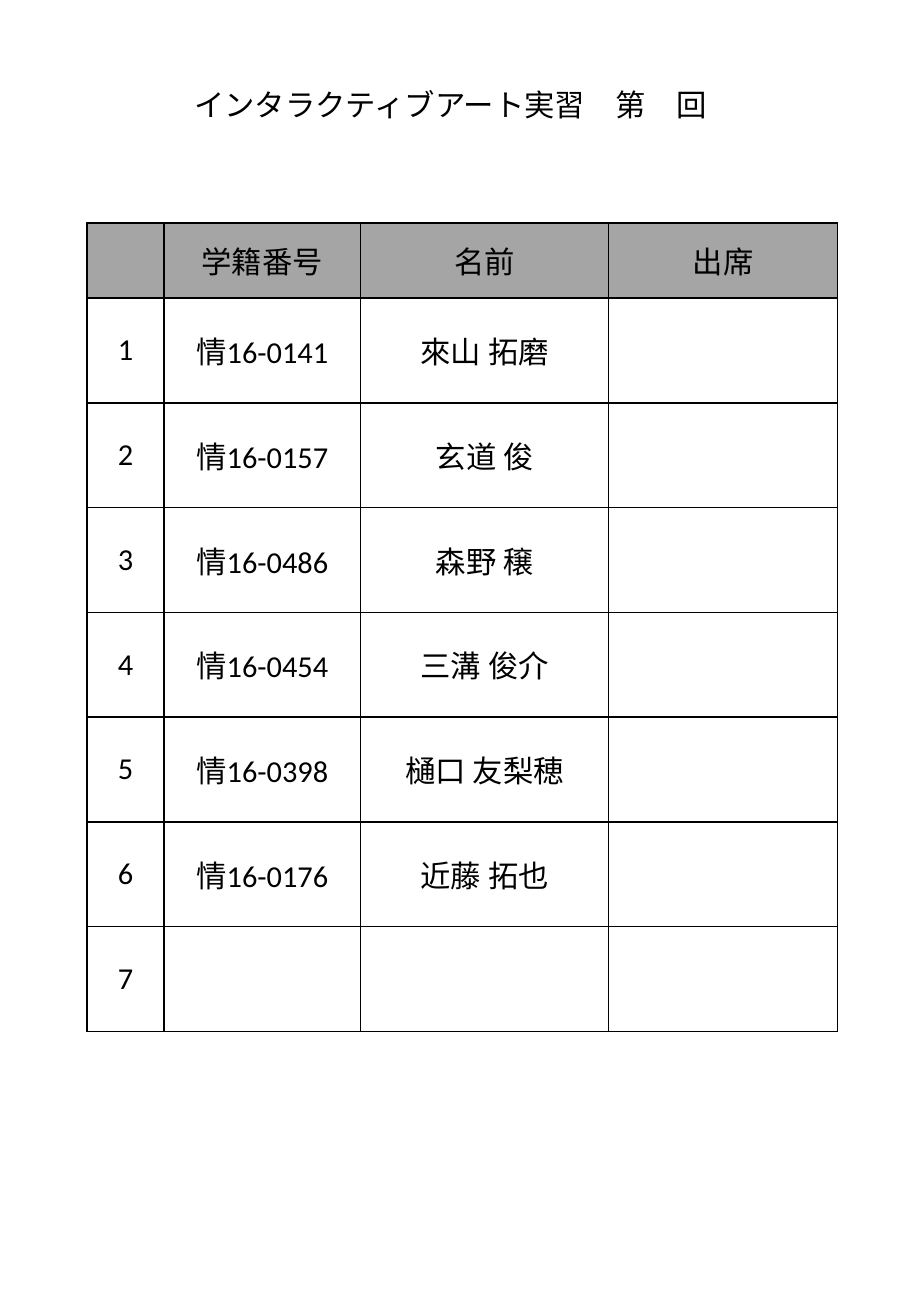
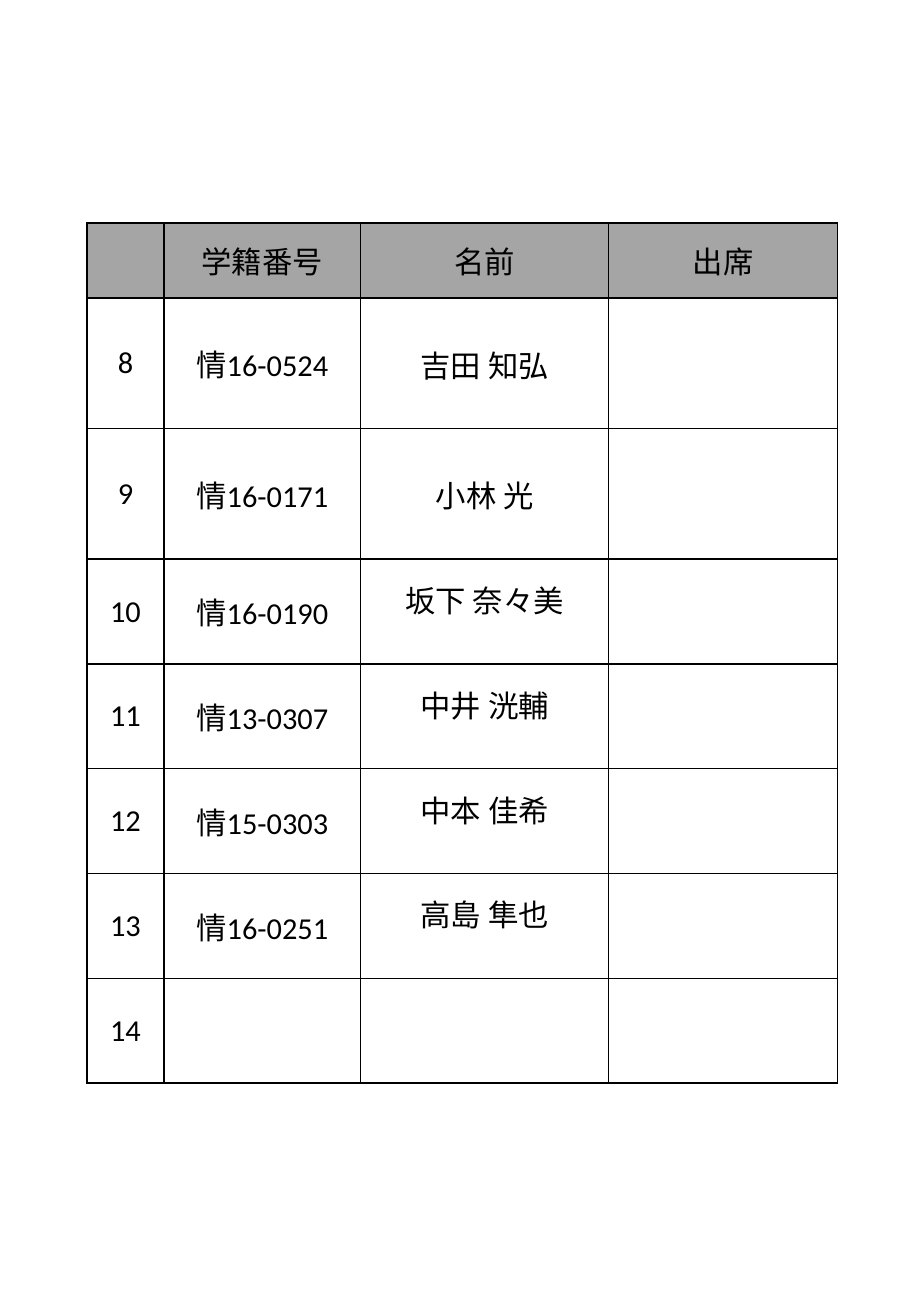
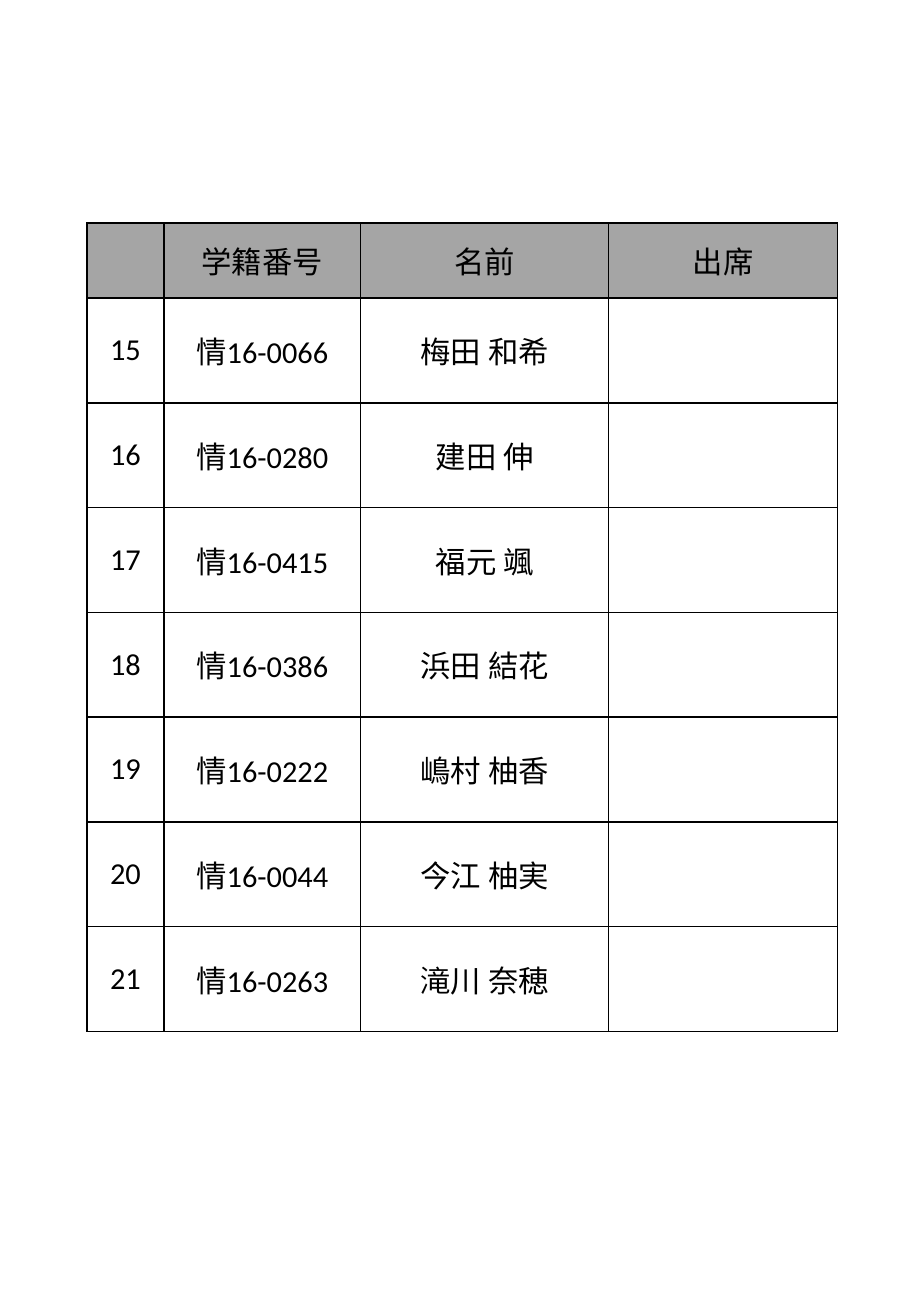
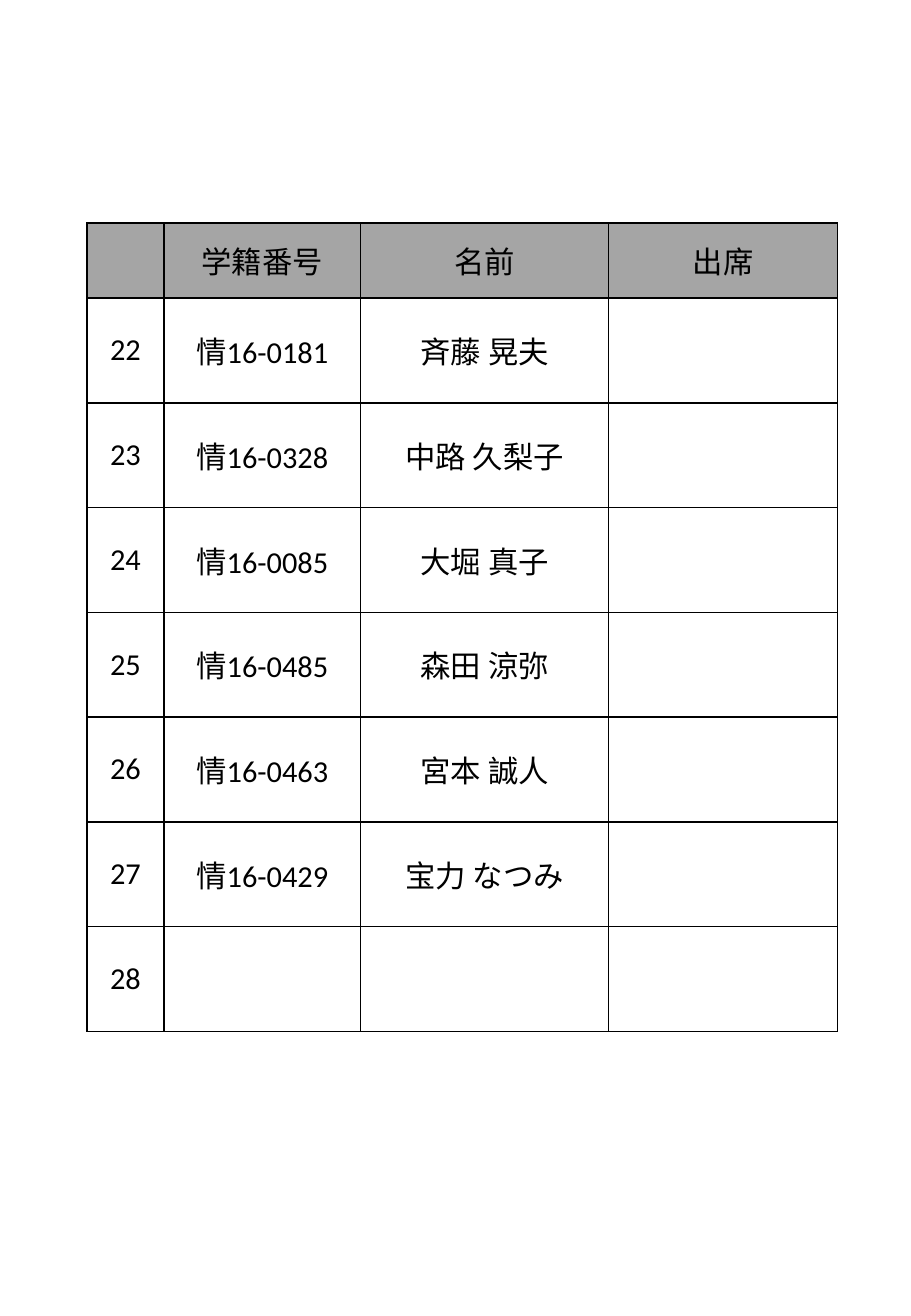
from pptx import Presentation
from pptx.dml.color import RGBColor
from pptx.enum.text import MSO_ANCHOR, PP_ALIGN
from pptx.oxml import parse_xml
from pptx.oxml.ns import nsdecls
from pptx.util import Cm, Pt

CENTER = PP_ALIGN.CENTER
MIDDLE = MSO_ANCHOR.MIDDLE
BOTTOM = MSO_ANCHOR.BOTTOM

COLORS = {"text": "000000", "border": "000000", "header": "A5A5A5", "body": "FFFFFF"}
FONT = "Calibri"
FONT_SIZE = Pt(18)

TABLE_LEFT, TABLE_TOP = 1.82, 4.66
COLUMN_WIDTHS = [1.61, 4.11, 5.19, 4.78]
HEADER_HEIGHT, ROW_HEIGHT, TALL_ROW_HEIGHT = 1.57, 2.19, 2.73
RAISED_NAME_MARGIN = 0.89
ROWS_PER_SLIDE = 7

HEADINGS = ["", "学籍番号", "名前", "出席"]
ROSTER = [
    [("16-0141", "來山 拓磨"), ("16-0157", "玄道 俊"), ("16-0486", "森野 穣"),
     ("16-0454", "三溝 俊介"), ("16-0398", "樋口 友梨穂"), ("16-0176", "近藤 拓也")],
    [("16-0524", "吉田 知弘"), ("16-0171", "小林 光"), ("16-0190", "坂下 奈々美"),
     ("13-0307", "中井 洸輔"), ("15-0303", "中本 佳希"), ("16-0251", "高島 隼也")],
    [("16-0066", "梅田 和希"), ("16-0280", "建田 伸"), ("16-0415", "福元 颯"),
     ("16-0386", "浜田 結花"), ("16-0222", "嶋村 柚香"), ("16-0044", "今江 柚実"),
     ("16-0263", "滝川 奈穂")],
    [("16-0181", "斉藤 晃夫"), ("16-0328", "中路 久梨子"), ("16-0085", "大堀 真子"),
     ("16-0485", "森田 涼弥"), ("16-0463", "宮本 誠人"), ("16-0429", "宝力 なつみ")],
]
RAISED_GROUP = 1  # names stand on a deep bottom margin
TALL_NUMBERS = {8, 9}


def style_text(paragraph):
    paragraph.font.name = FONT
    paragraph.font.size = FONT_SIZE
    paragraph.font.color.rgb = RGBColor.from_string(COLORS["text"])


def fill_cell(cell, text, color):
    """Write centred text on a solid fill, with a thin border on all four sides."""
    cell.text = text
    cell.vertical_anchor = MIDDLE
    paragraph = cell.text_frame.paragraphs[0]
    paragraph.alignment = CENTER
    style_text(paragraph)
    properties = cell._tc.get_or_add_tcPr()
    for side in ("lnL", "lnR", "lnT", "lnB"):
        properties.append(parse_xml(
            f'<a:{side} {nsdecls("a")} w="{Pt(1)}"><a:solidFill>'
            f'<a:srgbClr val="{COLORS["border"]}"/></a:solidFill></a:{side}>'))
    cell.fill.solid()
    cell.fill.fore_color.rgb = RGBColor.from_string(color)


prs = Presentation()
prs.slide_width, prs.slide_height = Cm(19.05), Cm(27.51)
blank = prs.slide_layouts[6]

for group, students in enumerate(ROSTER):
    slide = prs.slides.add_slide(blank)
    first_number = group * ROWS_PER_SLIDE + 1
    numbers = range(first_number, first_number + ROWS_PER_SLIDE)
    heights = [HEADER_HEIGHT] + [
        TALL_ROW_HEIGHT if number in TALL_NUMBERS else ROW_HEIGHT for number in numbers]

    attendance = slide.shapes.add_table(
        len(heights), len(HEADINGS), Cm(TABLE_LEFT), Cm(TABLE_TOP),
        Cm(sum(COLUMN_WIDTHS)), Cm(sum(heights))).table
    attendance.first_row = False
    attendance.horz_banding = False
    for column, width in zip(attendance.columns, COLUMN_WIDTHS):
        column.width = Cm(width)
    for row, height in zip(attendance.rows, heights):
        row.height = Cm(height)

    entries = [HEADINGS]
    for index, number in enumerate(numbers):
        student_id, name = students[index] if index < len(students) else ("", "")
        entries.append([str(number), f"情{student_id}" if student_id else "", name, ""])

    for row_index, entry in enumerate(entries):
        color = COLORS["body"] if row_index else COLORS["header"]
        for column_index, text in enumerate(entry):
            fill_cell(attendance.cell(row_index, column_index), text, color)

    if group == RAISED_GROUP:
        for row_index in range(1, len(students) + 1):
            name_cell = attendance.cell(row_index, 2)
            name_cell.vertical_anchor = BOTTOM
            name_cell.margin_top = 0
            name_cell.margin_bottom = Cm(RAISED_NAME_MARGIN)

    if group == 0:
        title = slide.shapes.add_textbox(Cm(3.81), Cm(1.68), Cm(11.4), Cm(1.02)).text_frame
        title.word_wrap = False
        title.text = "インタラクティブアート実習　第　回"
        style_text(title.paragraphs[0])

prs.save("out.pptx")
